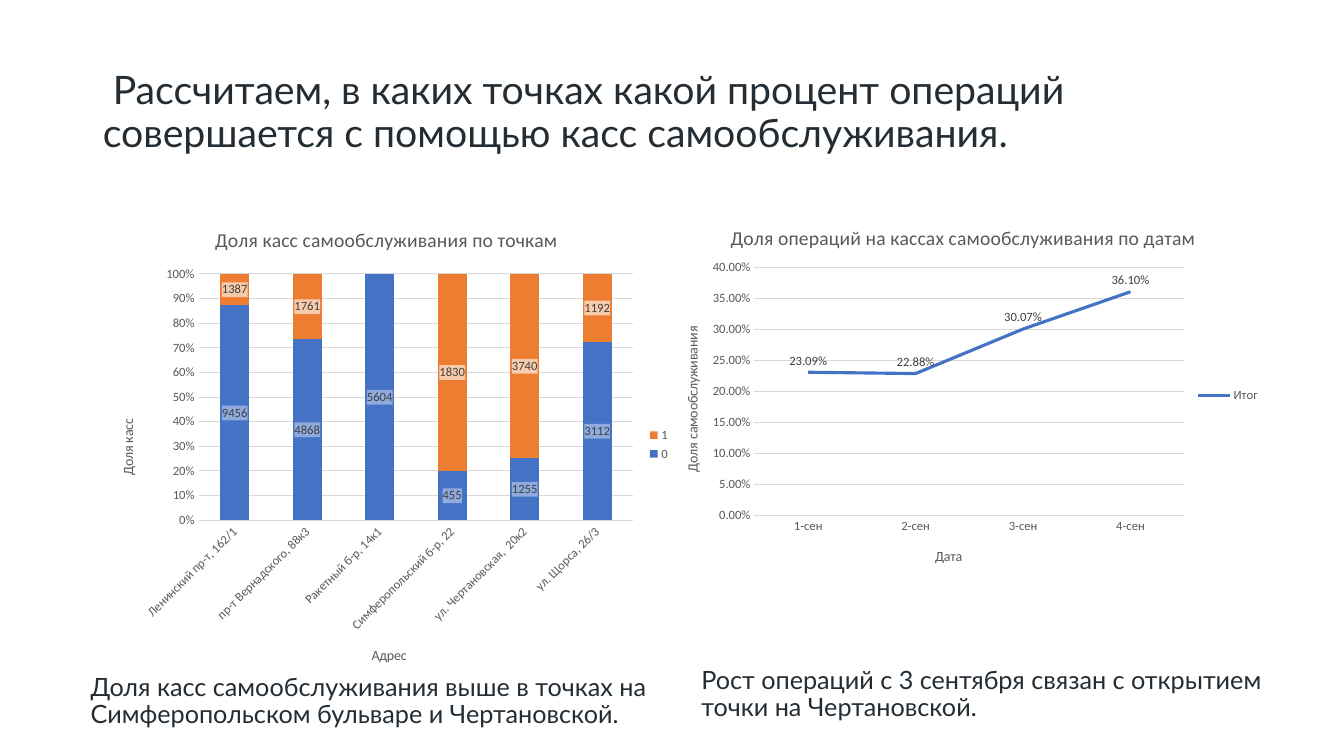
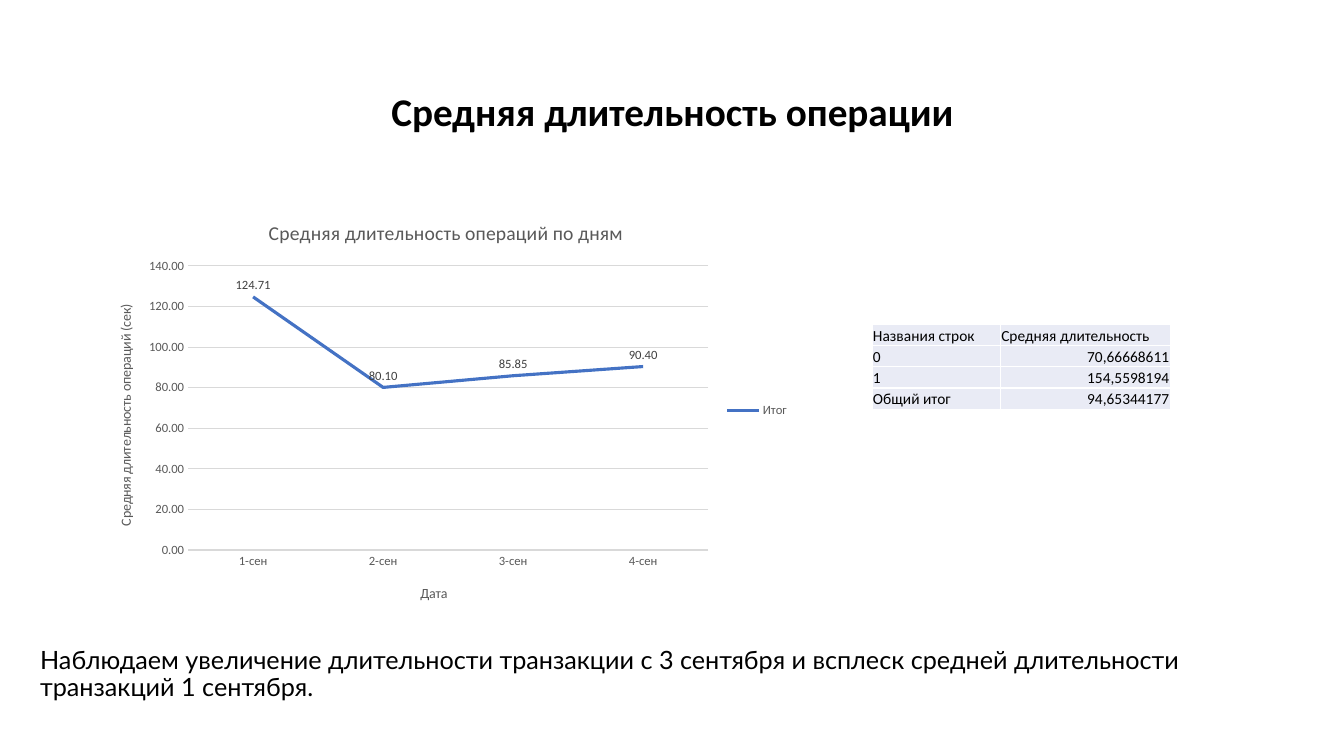
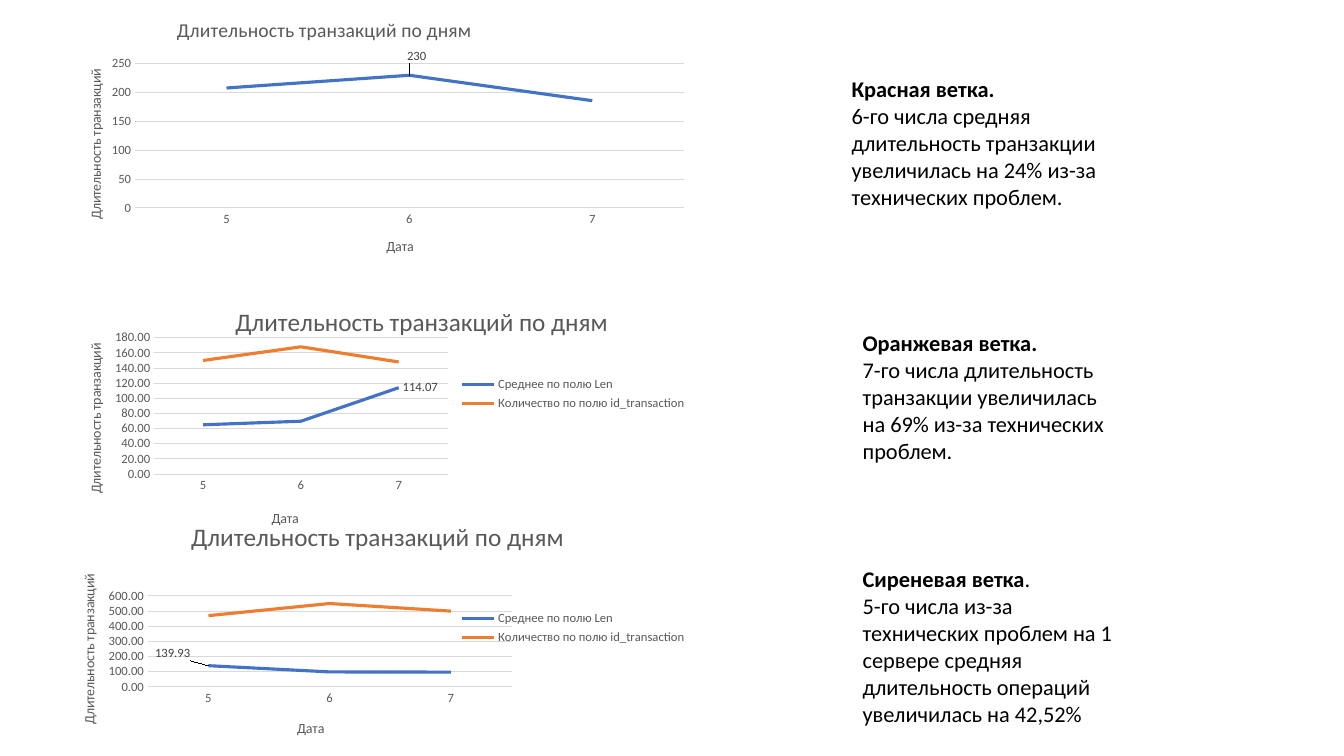
from pptx import Presentation
from pptx.chart.data import CategoryChartData
from pptx.dml.color import RGBColor
from pptx.enum.chart import XL_CHART_TYPE, XL_LABEL_POSITION, XL_LEGEND_POSITION, XL_TICK_MARK
from pptx.enum.text import MSO_ANCHOR, MSO_AUTO_SIZE, PP_ALIGN
from pptx.oxml import parse_xml
from pptx.oxml.ns import nsdecls, qn
from pptx.util import Inches, Pt

BLACK = RGBColor(0x00, 0x00, 0x00)
WHITE = RGBColor(0xFF, 0xFF, 0xFF)
INK = RGBColor(0x24, 0x2D, 0x34)
GRAY = RGBColor(0x59, 0x59, 0x59)
LABEL_GRAY = RGBColor(0x40, 0x40, 0x40)
GRID_GRAY = RGBColor(0xD9, 0xD9, 0xD9)
BLUE = RGBColor(0x44, 0x72, 0xC4)
ORANGE = RGBColor(0xED, 0x7D, 0x31)
LIGHT_BLUE = RGBColor(0x8F, 0xAA, 0xDC)
LIGHT_ORANGE = RGBColor(0xF8, 0xCB, 0xAD)
CELL_FILL = RGBColor(0xE9, 0xEB, 0xF5)

SERIES_COLORS = (BLUE, ORANGE)
LABEL_FILLS = (LIGHT_BLUE, LIGHT_ORANGE)
TEXT_FONT = "Lato"
DATA_FONT = "Calibri"

SLIDE_WIDTH = Inches(13.33)
SLIDE_HEIGHT = Inches(7.5)
TITLE_AREA = (6.9, 5.33, 86.25, 19.33)

DATES = ("1-сен", "2-сен", "3-сен", "4-сен")
DAYS = ("5", "6", "7")


def area(left, top, width, height):
    """Turn percentages of the slide's size into lengths."""
    return (int(SLIDE_WIDTH * left / 100), int(SLIDE_HEIGHT * top / 100),
            int(SLIDE_WIDTH * width / 100), int(SLIDE_HEIGHT * height / 100))


def style_font(font, size, color, name=DATA_FONT, bold=False):
    font.size = Pt(size)
    font.name = name
    font.bold = bold
    font.color.rgb = color


def start_deck():
    deck = Presentation()
    deck.slide_width, deck.slide_height = SLIDE_WIDTH, SLIDE_HEIGHT
    title = deck.slide_layouts[5].placeholders[0]
    title.left, title.top, title.width, title.height = area(*TITLE_AREA)
    title.text_frame.vertical_anchor = MSO_ANCHOR.MIDDLE
    return deck


def set_title(page, text, color, name, bold=False, align=PP_ALIGN.LEFT):
    frame = page.shapes.title.text_frame
    frame.text = text
    frame.auto_size = MSO_AUTO_SIZE.NONE
    para = frame.paragraphs[0]
    para.alignment = align
    para.line_spacing = 0.9
    style_font(para.runs[0].font, 28, color, name, bold)


def add_text_frame(page, place):
    frame = page.shapes.add_textbox(*area(*place)).text_frame
    frame.word_wrap = True
    return frame


def add_caption(page, place, text, color):
    frame = add_text_frame(page, place)
    frame.vertical_anchor = MSO_ANCHOR.MIDDLE
    frame.text = text
    para = frame.paragraphs[0]
    para.line_spacing = 0.9
    style_font(para.runs[0].font, 18, color, TEXT_FONT)


def add_finding(page, place, heading, text, bold_stop=True):
    """Add a bold heading ending in a full stop, with a paragraph below."""
    frame = add_text_frame(page, place)
    para = frame.paragraphs[0]
    for words, bold in ((heading, True), (".", bold_stop)):
        span = para.add_run()
        span.text = words
        style_font(span.font, 16, BLACK, bold=bold)
    para = frame.add_paragraph()
    para.text = text
    style_font(para.runs[0].font, 16, BLACK)


def set_layout(parent, index, position, modes=()):
    """Give a chart part a manual layout in shares of the chart's size."""
    old = parent.find(qn("c:layout"))
    if old is not None:
        parent.remove(old)
    parts = [f'<c:{tag} val="{value}"/>' for tag, value in modes]
    parts += [f'<c:{tag} val="{value}"/>' for tag, value in zip("xywh", position)]
    parent.insert(index, parse_xml(
        f'<c:layout {nsdecls("c")}><c:manualLayout>{"".join(parts)}'
        '</c:manualLayout></c:layout>'))


def set_chart_title(holder, text, size, position=None):
    holder.text_frame.text = text
    style_font(holder.text_frame.paragraphs[0].runs[0].font, size, GRAY)
    if position:
        set_layout(holder._element, 1, position, (("xMode", "edge"), ("yMode", "edge")))


def style_axis(axis, title, position):
    axis.has_title = True
    set_chart_title(axis.axis_title, title, 10, position)
    axis.major_tick_mark = axis.minor_tick_mark = XL_TICK_MARK.NONE
    style_font(axis.tick_labels.font, 9, GRAY)


def style_value_axis(axis, number_format, top, step):
    axis.minimum_scale, axis.maximum_scale, axis.major_unit = 0, top, step
    axis.tick_labels.number_format = number_format
    axis.tick_labels.number_format_is_linked = False
    axis.format.line.fill.background()
    axis.has_major_gridlines = True
    grid = axis.major_gridlines.format.line
    grid.color.rgb, grid.width = GRID_GRAY, Pt(0.75)
    turned = axis.axis_title.text_frame._txBody.bodyPr
    turned.set("rot", "-5400000")
    turned.set("vert", "horz")


def add_chart(page, place, kind, categories, series, title, axis_titles, axis_places,
              plot_area, scale, number_format, data_format="General",
              title_size=14, title_place=None, legend=True):
    """Add a chart; axis titles and places are given as category, then value."""
    data = CategoryChartData(number_format=data_format)
    data.categories = categories
    for name, values in series:
        data.add_series(name, values)
    chart = page.shapes.add_chart(kind, *area(*place), data).chart
    style_font(chart.font, 10, BLACK)
    chart.has_title = True
    set_chart_title(chart.chart_title, title, title_size, title_place)
    chart.chart_title.include_in_layout = False
    chart.has_legend = legend
    if legend:
        chart.legend.position = XL_LEGEND_POSITION.RIGHT
        chart.legend.include_in_layout = False
        style_font(chart.legend.font, 9, GRAY)
    for axis, text, spot in zip((chart.category_axis, chart.value_axis),
                                axis_titles, axis_places):
        style_axis(axis, text, spot)
    style_value_axis(chart.value_axis, number_format, *scale)
    line = chart.category_axis.format.line
    line.color.rgb, line.width = GRID_GRAY, Pt(0.75)
    set_layout(chart._chartSpace.chart.plotArea, 0, plot_area,
               (("layoutTarget", "inner"), ("xMode", "edge"), ("yMode", "edge")))
    chart.plots[0].vary_by_categories = False
    return chart


def show_labels(series, position):
    labels = series.data_labels
    labels.show_value = True
    labels.position = position
    style_font(labels.font, 9, LABEL_GRAY)
    return labels


def label_point(series, index, offset):
    label = series.points[index].data_label
    style_font(label.font, 9, LABEL_GRAY)
    label.position = XL_LABEL_POSITION.RIGHT
    series.data_labels.show_value = False
    if offset:
        set_layout(label._dLbl, 1, offset)


def add_line_chart(page, *details, **options):
    place, *rest = details
    chart = add_chart(page, place, XL_CHART_TYPE.LINE, *rest, **options)
    for series, color in zip(chart.plots[0].series, SERIES_COLORS):
        series.smooth = False
        series.format.line.color.rgb = color
        series.format.line.width = Pt(2.25)
    return chart


def add_share_chart(page, *details, **options):
    """Add a full-height stacked chart with filled labels and slanted categories."""
    place, *rest = details
    chart = add_chart(page, place, XL_CHART_TYPE.COLUMN_STACKED_100, *rest, **options)
    plot = chart.plots[0]
    plot.gap_width, plot.overlap = 150, 100
    chart.category_axis._element.txPr.bodyPr.set("rot", "-2700000")
    for series, color, label_fill in zip(plot.series, SERIES_COLORS, LABEL_FILLS):
        series.format.fill.solid()
        series.format.fill.fore_color.rgb = color
        labels = show_labels(series, XL_LABEL_POSITION.CENTER)
        labels._element.find(qn("c:txPr")).addprevious(parse_xml(
            f'<c:spPr {nsdecls("c", "a")}><a:solidFill><a:srgbClr val="{label_fill}"/>'
            '</a:solidFill></c:spPr>'))


def add_borders(cell):
    properties = cell._tc.get_or_add_tcPr()
    for index, side in enumerate(("lnL", "lnR", "lnT", "lnB")):
        properties.insert(index, parse_xml(
            f'<a:{side} {nsdecls("a")} w="{Pt(1)}"><a:solidFill>'
            f'<a:srgbClr val="{WHITE}"/></a:solidFill></a:{side}>'))


def add_table(page, place, rows, column_shares):
    table = page.shapes.add_table(len(rows), len(column_shares), *area(*place)).table
    table.first_row = table.horz_banding = False
    width = area(*place)[2]
    for column, share in zip(table.columns, column_shares):
        column.width = int(width * share)
    for row_index, row in enumerate(rows):
        for column_index, text in enumerate(row):
            cell = table.cell(row_index, column_index)
            cell.text = text
            cell.vertical_anchor = MSO_ANCHOR.BOTTOM
            cell.margin_left = cell.margin_right = cell.margin_top = Inches(0.01)
            cell.margin_bottom = 0
            cell.fill.solid()
            cell.fill.fore_color.rgb = CELL_FILL
            add_borders(cell)
            para = cell.text_frame.paragraphs[0]
            if row_index and column_index:
                para.alignment = PP_ALIGN.RIGHT
            style_font(para.runs[0].font, 11, BLACK)


def build_share_slide(deck):
    page = deck.slides.add_slide(deck.slide_layouts[5])
    set_title(page, " Рассчитаем, в\u00a0каких точках какой процент операций "
              "совершается с\u00a0помощью касс самообслуживания.", INK, TEXT_FONT)
    add_share_chart(
        page, (6.9, 27.47, 43.73, 62.67),
        ("Ленинский пр-т, 162/1", "пр-т Вернадского, 88к3", "Ракетный б-р, 14к1",
         "Симферопольский б-р, 22", "ул. Чертановская,  20к2", "ул. Щорса, 26/3"),
        (("0", (9456, 4868, 5604, 455, 1255, 3112)),
         ("1", (1387, 1761, None, 1830, 3740, 1192))),
        "Доля касс самообслуживания по точкам", ("Адрес", "Доля касс"),
        ((0.47, 0.92), (0.04, 0.44)), (0.18, 0.14, 0.74, 0.52), (1, 0.1), "0%")
    add_caption(page, (6, 87.2, 43.95, 11.33), "Доля касс самообслуживания выше в точках "
                "на Симферопольском бульваре и Чертановской.", INK)
    chart = add_line_chart(
        page, (48.83, 27.47, 45.68, 49.6), DATES,
        (("Итог", (0.2309, 0.2288, 0.3007, 0.361)),),
        "Доля операций на кассах самообслуживания по датам",
        ("Дата", "Доля самообслуживания"), ((0.45, 0.9), (0.04, 0.31)),
        (0.16, 0.16, 0.7, 0.66), (0.4, 0.05), "0.00%", data_format="0.00%")
    show_labels(chart.plots[0].series[0], XL_LABEL_POSITION.ABOVE)
    add_caption(page, (51.45, 86.27, 44.93, 11.33), "Рост операций с 3 сентября связан "
                "с открытием точки на Чертановской.", INK)


def build_duration_slide(deck):
    page = deck.slides.add_slide(deck.slide_layouts[5])
    set_title(page, "Средняя длительность операции", BLACK, DATA_FONT, True, PP_ALIGN.CENTER)
    chart = add_line_chart(
        page, (6.9, 26.67, 52.58, 55.2), DATES,
        (("Итог", (124.71, 80.1, 85.85, 90.4)),),
        "Средняя длительность операций по дням",
        ("Дата", "Средняя длительность операций (сек)"), ((0.46, 0.91), (0.03, 0.24)),
        (0.135, 0.154, 0.736, 0.681), (140, 20), "0.00", data_format="0.00")
    show_labels(chart.plots[0].series[0], XL_LABEL_POSITION.ABOVE)
    add_table(page, (64.88, 42.93, 22.2, 11.2),
              (("Названия строк", "Средняя длительность"), ("0", "70,66668611"),
               ("1", "154,5598194"), ("Общий итог", "94,65344177")), (0.43, 0.57))
    add_caption(page, (2.25, 79.6, 89.1, 19.33), "Наблюдаем увеличение длительности "
                "транзакции с 3 сентября и всплеск средней длительности транзакций "
                "1 сентября.", BLACK)


def build_branch_slide(deck):
    page = deck.slides.add_slide(deck.slide_layouts[6])
    mean, count = "Среднее по полю Len", "Количество по полю id_transaction"
    branches = (
        ((0.67, 35.33), (("Series 1", (208, 230, 186)),),
         ((0.51, 0.86), (0.04, 0.23)), (0.12, 0.22, 0.86, 0.54), (250, 50), "0",
         14, (0.18, 0.03), 1, (-0.01, -0.07)),
        ((32.53, 39.2), ((mean, (64.99, 69.7, 114.07)), (count, (150, 168, 148))),
         ((0.33, 0.88), (0.04, 0.32)), (0.15, 0.31, 0.46, 0.46), (180, 20), "0.00",
         18, (0.27, 0.18), 2, None),
        ((66.8, 32.53), ((mean, (139.93, 98.87, 97.5)), (count, (470, 550, 500))),
         ((0.37, 0.86), (0.03, 0.27)), (0.14, 0.37, 0.57, 0.37), (600, 100), "0.00",
         18, None, 0, (-0.09, -0.05)),
    )
    for ((top, height), series, axis_places, plot_area, scale, number_format,
         title_size, title_place, point, offset) in branches:
        chart = add_line_chart(
            page, (4.35, top, 47.48, height), DAYS, series,
            "Длительность транзакций по дням", ("Дата", "Длительность транзакций"),
            axis_places, plot_area, scale, number_format, data_format=number_format,
            title_size=title_size, title_place=title_place, legend=len(series) > 1)
        label_point(chart.plots[0].series[0], point, offset)
    add_finding(page, (62.63, 9.33, 21.3, 16.53), "Красная ветка",
                "6-го числа средняя длительность транзакции увеличилась на 24% "
                "из-за технических проблем.")
    add_finding(page, (63.45, 42.93, 20.48, 14.13), "Оранжевая ветка",
                "7-го числа длительность транзакции увеличилась на 69% "
                "из-за технических проблем.")
    add_finding(page, (63.45, 74.13, 20.48, 25.87), "Сиреневая ветка",
                "5-го числа из-за технических проблем на 1 сервере средняя "
                "длительность операций увеличилась на 42,52%", bold_stop=False)


def main():
    deck = start_deck()
    build_share_slide(deck)
    build_duration_slide(deck)
    build_branch_slide(deck)
    deck.save("out.pptx")


if __name__ == "__main__":
    main()
